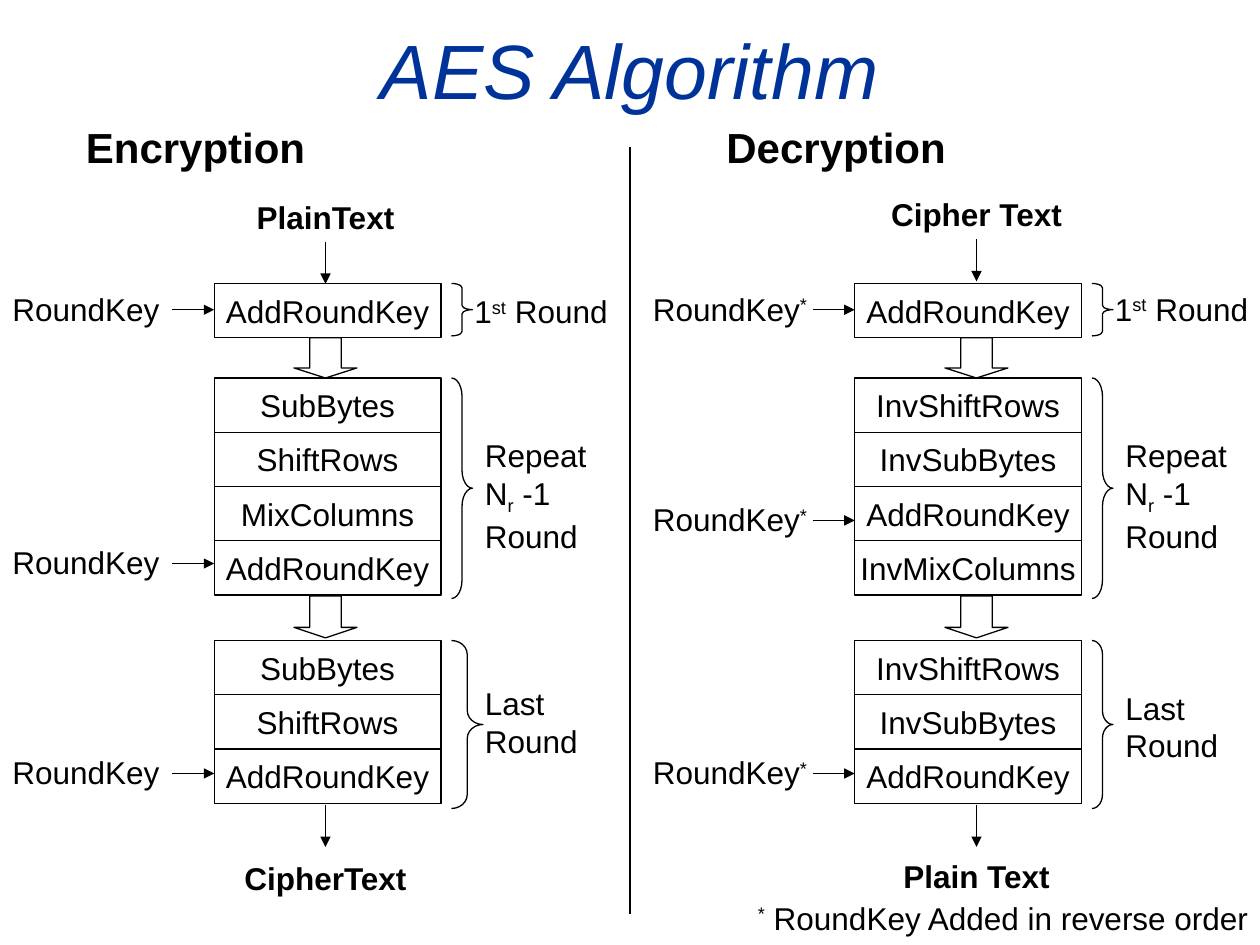
from dataclasses import dataclass

from lxml.etree import SubElement
from pptx import Presentation
from pptx.dml.color import RGBColor
from pptx.enum.shapes import MSO_CONNECTOR as Connector, MSO_SHAPE as Shape
from pptx.enum.text import MSO_ANCHOR as Anchor, MSO_AUTO_SIZE as AutoSize, PP_ALIGN as Align
from pptx.oxml.ns import qn
from pptx.util import Pt

FONT = "Arial"
BLACK = "000000"
TITLE_BLUE = "003399"
LINE_WIDTH = 0.75
SUPERSCRIPT, SUBSCRIPT = 30000, -25000

BOX_LEFT, BOX_WIDTH, BOX_HEIGHT = 122.4, 129.6, 31
BRACE_LEFT = 258
ROUND_TOPS = (162, 216, 366)
BRACE_HEIGHTS = (30, 126, 96)
BLOCK_ARROWS = ((193, 23), (340.5, 24))
LABEL_HEIGHT = 29


@dataclass
class Side:
    heading: str
    source: str
    result: str
    rounds: tuple
    key_runs: list
    key_centers: tuple
    left: float
    axis: float
    source_top: float
    result_top: float
    first_label_top: float
    last_label_top: float
    last_brace_width: float


ENCRYPTION = Side(
    heading="Encryption", source="PlainText", result="CipherText",
    rounds=(("AddRoundKey",),
            ("SubBytes", "ShiftRows", "MixColumns", "AddRoundKey"),
            ("SubBytes", "ShiftRows", "AddRoundKey")),
    key_runs=[("RoundKey", 0)], key_centers=(177, 322, 442),
    left=0, axis=186, source_top=109.4, result_top=487.4,
    first_label_top=163.4, last_label_top=387.4, last_brace_width=18)

DECRYPTION = Side(
    heading="Decryption", source="Cipher Text", result="Plain Text",
    rounds=(("AddRoundKey",),
            ("InvShiftRows", "InvSubBytes", "AddRoundKey", "InvMixColumns"),
            ("InvShiftRows", "InvSubBytes", "AddRoundKey")),
    key_runs=[("RoundKey", 0), ("*", SUPERSCRIPT)], key_centers=(177, 297.4, 442),
    left=366, axis=558, source_top=108, result_top=486,
    first_label_top=162, last_label_top=390, last_brace_width=12)


def color(hex_string):
    return RGBColor.from_string(hex_string)


def add_runs(paragraph, runs, size=18, bold=False, italic=False, hex_color=BLACK):
    """Add (text, baseline shift) pairs as runs of one paragraph."""
    for text, baseline in runs:
        run = paragraph.add_run()
        run.text = text
        font = run.font
        font.name, font.size = FONT, Pt(size)
        font.bold, font.italic = bold, italic
        font.color.rgb = color(hex_color)
        if baseline:
            run._r.get_or_add_rPr().set("baseline", str(baseline))


def add_label(slide, left, top, width, height, runs, align=Align.LEFT, **style):
    label = slide.shapes.add_textbox(Pt(left), Pt(top), Pt(width), Pt(height))
    frame = label.text_frame
    frame.word_wrap = True
    frame.auto_size = AutoSize.SHAPE_TO_FIT_TEXT
    paragraph = frame.paragraphs[0]
    paragraph.alignment = align
    add_runs(paragraph, runs, **style)


def add_outline(slide, kind, left, top, width, height):
    shape = slide.shapes.add_shape(kind, Pt(left), Pt(top), Pt(width), Pt(height))
    shape.shadow.inherit = False
    shape.fill.background()
    shape.line.color.rgb = color(BLACK)
    shape.line.width = Pt(LINE_WIDTH)
    return shape


def add_step(slide, left, top, name):
    box = add_outline(slide, Shape.RECTANGLE, left, top, BOX_WIDTH, BOX_HEIGHT)
    frame = box.text_frame
    frame.word_wrap = False
    frame.vertical_anchor = Anchor.MIDDLE
    paragraph = frame.paragraphs[0]
    paragraph.alignment = Align.CENTER
    add_runs(paragraph, [(name, 0)])


def add_brace(slide, left, top, width, height):
    """Add a right brace whose curves each take a twelfth of its height."""
    brace = add_outline(slide, Shape.RIGHT_BRACE, left, top, width, height)
    brace.adjustments[0] = height / 12 / width


def add_block_arrow(slide, axis, top, height):
    arrow = add_outline(slide, Shape.DOWN_ARROW, axis - 18, top, 36, height)
    arrow.adjustments[0] = 0.5
    arrow.adjustments[1] = 0.25


def add_line(slide, x1, y1, x2, y2, arrow=True):
    line = slide.shapes.add_connector(Connector.STRAIGHT, Pt(x1), Pt(y1), Pt(x2), Pt(y2))
    line.line.color.rgb = color(BLACK)
    line.line.width = Pt(LINE_WIDTH)
    if arrow:
        SubElement(line.line._get_or_add_ln(), qn("a:tailEnd"), type="triangle")
    SubElement(line._element.spPr, qn("a:effectLst"))


def add_title(slide, text):
    title = slide.shapes.title
    title.left, title.top, title.width, title.height = Pt(0), Pt(6), Pt(720), Pt(66)
    title.text_frame.vertical_anchor = Anchor.MIDDLE
    paragraph = title.text_frame.paragraphs[0]
    paragraph.alignment = Align.CENTER
    add_runs(paragraph, [(text, 0)], size=44, italic=True, hex_color=TITLE_BLUE)


def add_round_labels(slide, side):
    left = side.left + 270
    add_label(slide, left - 6, side.first_label_top, 102, LABEL_HEIGHT,
              [("1", 0), ("st", SUPERSCRIPT), (" Round", 0)])
    add_label(slide, left, 245.5, 78, 75,
              [("Repeat N", 0), ("r", SUBSCRIPT), (" -1 Round", 0)])
    add_label(slide, left, side.last_label_top, 90, 50.5, [("Last Round", 0)])


def add_side(slide, side):
    add_label(slide, side.left + 42, 66, 162, 36, [(side.heading, 0)], size=24, bold=True)

    for top, names in zip(ROUND_TOPS, side.rounds):
        for row, name in enumerate(names):
            add_step(slide, side.left + BOX_LEFT, top + row * BOX_HEIGHT, name)
    for top, height in BLOCK_ARROWS:
        add_block_arrow(slide, side.axis, top, height)

    brace_widths = (12, 12, side.last_brace_width)
    for top, width, height in zip(ROUND_TOPS, brace_widths, BRACE_HEIGHTS):
        add_brace(slide, side.left + BRACE_LEFT, top, width, height)
    add_round_labels(slide, side)

    ends = ((side.source, side.source_top, side.source_top + 28.8),
            (side.result, side.result_top, 460))
    for text, text_top, arrow_top in ends:
        add_label(slide, side.left + 102 + (6 if side.left else 0), text_top, 168,
                  LABEL_HEIGHT, [(text, 0)], align=Align.CENTER, bold=True)
        add_line(slide, side.axis, arrow_top, side.axis, arrow_top + 24)

    box_left = side.left + BOX_LEFT
    for center in side.key_centers:
        add_label(slide, side.left, center - 15, 108, LABEL_HEIGHT, side.key_runs)
        add_line(slide, box_left - 24, center, box_left, center)


def main():
    presentation = Presentation()
    presentation.slide_width, presentation.slide_height = Pt(720), Pt(540)
    slide = presentation.slides.add_slide(presentation.slide_layouts[5])
    add_title(slide, "AES Algorithm")
    for side in (ENCRYPTION, DECRYPTION):
        add_side(slide, side)
    add_line(slide, 360, 84, 360, 522, arrow=False)
    add_label(slide, 426, 510, 300, LABEL_HEIGHT,
              [("*", SUPERSCRIPT), (" RoundKey Added in reverse order", 0)])
    presentation.save("out.pptx")


if __name__ == "__main__":
    main()
